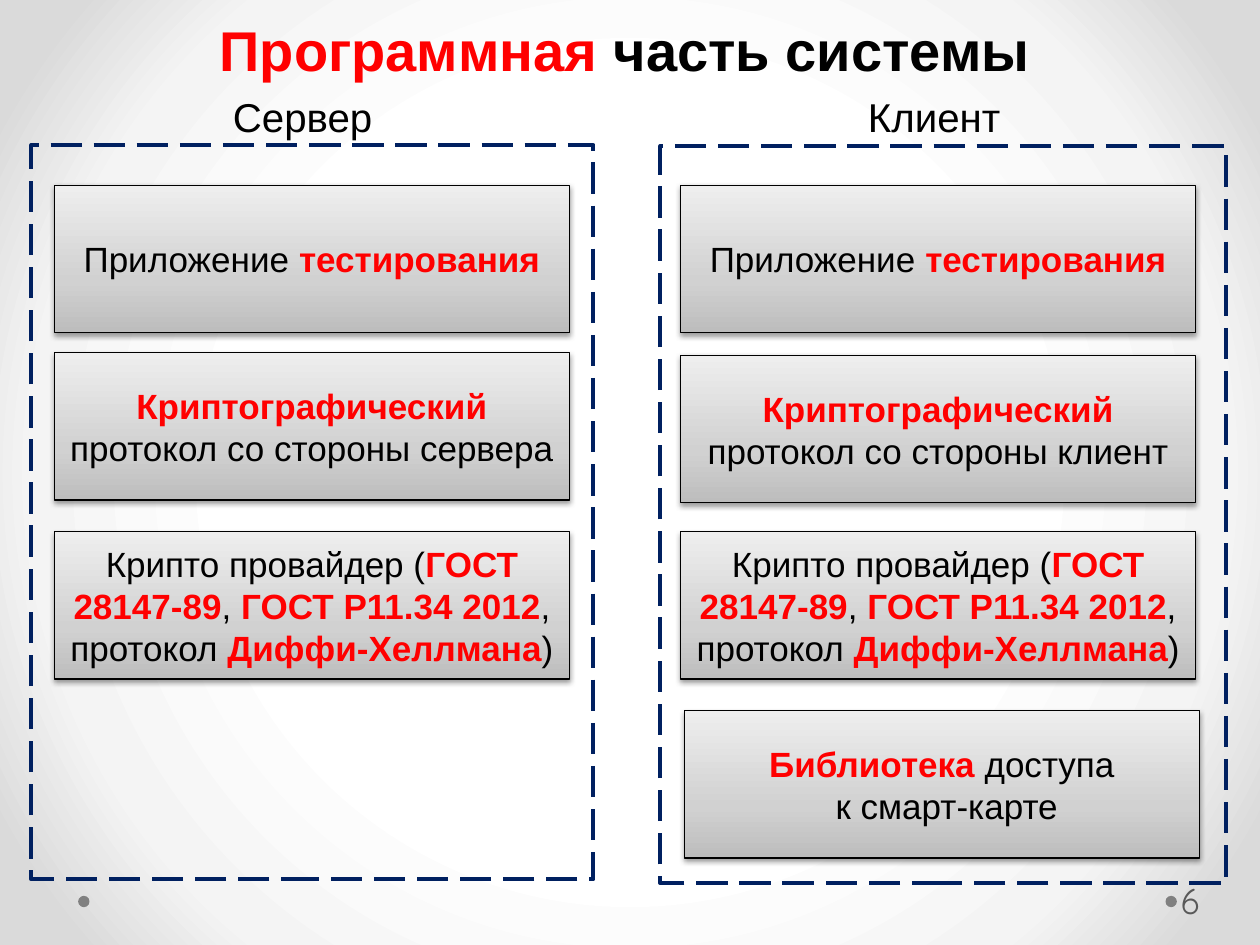
import pptx
import pptx.dml.color
import pptx.enum.dml
import pptx.enum.shapes
import pptx.enum.text
import pptx.oxml
import pptx.oxml.ns
import pptx.util

ALIGN = pptx.enum.text.PP_ALIGN
ANCHOR = pptx.enum.text.MSO_ANCHOR
SHAPE = pptx.enum.shapes.MSO_SHAPE
COLUMNS, ROWS = 100, 75
BOX_WIDTH, BOX_HEIGHT = 40.9, 11.7

TESTING = ["Приложение *тестирования*"]
PROVIDER = ["Крипто провайдер (*ГОСТ 28147-89*, *ГОСТ Р11.34 2012*, протокол *Диффи-Хеллмана*)"]
SERVER_BOXES = [
    (4.3, 14.7, TESTING),
    (4.3, 28, ["*Криптографический* протокол со стороны сервера"]),
    (4.3, 42.2, PROVIDER),
]
CLIENT_BOXES = [
    (54, 14.7, TESTING),
    (54, 28.2, ["*Криптографический* протокол со стороны клиент"]),
    (54, 42.2, PROVIDER),
    (54.3, 56.4, ["*Библиотека *доступа", " к смарт-карте"]),
]


def color(value):
    return pptx.dml.color.RGBColor.from_string(value)


def apply(target, values):
    for name, value in values.items():
        setattr(target, name, value)


def paint_gradient(fill, element, stops, direction):
    """Fill with (percent, colour) stops; direction is the XML of the gradient's course."""
    fill.gradient()
    old = next(element.iter(pptx.oxml.ns.qn("a:gradFill")))
    listed = "".join(
        f'<a:gs pos="{percent * 1000}"><a:srgbClr val="{value}"/></a:gs>'
        for percent, value in stops
    )
    new = pptx.oxml.parse_xml(
        f'<a:gradFill {pptx.oxml.ns.nsdecls("a")} rotWithShape="1">'
        f"<a:gsLst>{listed}</a:gsLst>{direction}</a:gradFill>"
    )
    old.getparent().replace(old, new)


class Slide:
    """Style and current page; lengths are columns and rows of a 100 by 75 grid."""

    ink, accent, border = "000000", "FF0000", "002060"
    box_stops = [(0, "BDBDBD"), (35, "D1D1D1"), (100, "EEEEEE")]
    page_stops = [(50, "FFFFFF"), (76, "F4F4F4"), (92, "DADADA")]

    def __init__(self, deck):
        self.column = deck.slide_width / COLUMNS
        self.row = deck.slide_height / ROWS
        self.page = deck.slides.add_slide(deck.slide_layouts[5])
        paint_gradient(
            self.page.background.fill, self.page.element, self.page_stops,
            '<a:path path="circle"><a:fillToRect l="50000" t="50000" r="50000" b="50000"/></a:path>',
        )

    def place(self, left, top, width, height):
        return (round(left * self.column), round(top * self.row),
                round(width * self.column), round(height * self.row))

    def set_text(self, frame, lines, size, align=ALIGN.LEFT, anchor=ANCHOR.TOP,
                 bold=False, font="Arial", ink=None):
        """Fill in paragraphs; text between asterisks is bold and in the accent colour."""
        apply(frame, {"word_wrap": True, "vertical_anchor": anchor,
                      "auto_size": pptx.enum.text.MSO_AUTO_SIZE.NONE})
        for index, line in enumerate(lines):
            para = frame.add_paragraph() if index else frame.paragraphs[0]
            para.alignment = align
            for part, text in enumerate(line.split("*")):
                if not text:
                    continue
                marked = part % 2 == 1
                span = para.add_run()
                span.text = text
                apply(span.font, {"name": font, "size": pptx.util.Pt(size),
                                  "bold": bold or marked})
                span.font.color.rgb = color(self.accent if marked else ink or self.ink)

    def title(self, text, *area):
        title = self.page.shapes.title
        apply(title, dict(zip(("left", "top", "width", "height"), self.place(*area))))
        self.set_text(title.text_frame, [text], 32, ALIGN.CENTER, bold=True)

    def label(self, text, *area, size=23, **style):
        box = self.page.shapes.add_textbox(*self.place(*area))
        self.set_text(box.text_frame, [text], size, **style)
        return box

    def shape(self, kind, *area):
        shape = self.page.shapes.add_shape(kind, *self.place(*area))
        shape.shadow.inherit = False
        return shape

    def dot(self, left, top):
        dot = self.shape(SHAPE.OVAL, left, top, 0.9, 0.9)
        dot.fill.solid()
        dot.fill.fore_color.rgb = color("808080")
        dot.line.fill.background()

    def outline(self, shape, value, width):
        shape.line.color.rgb = color(value)
        shape.line.width = pptx.util.Pt(width)

    def frame(self, *area):
        frame = self.shape(SHAPE.RECTANGLE, *area)
        frame.fill.background()
        self.outline(frame, self.border, 2.25)
        frame.line.dash_style = pptx.enum.dml.MSO_LINE.LONG_DASH

    def box(self, left, top, lines):
        box = self.shape(SHAPE.RECTANGLE, left, top, BOX_WIDTH, BOX_HEIGHT)
        paint_gradient(box.fill, box.element, self.box_stops,
                       '<a:lin ang="16200000" scaled="0"/>')
        self.outline(box, self.ink, 0.75)
        effects = next(box.element.iter(pptx.oxml.ns.qn("a:effectLst")))
        effects.append(pptx.oxml.parse_xml(
            f'<a:outerShdw {pptx.oxml.ns.nsdecls("a")} blurRad="{pptx.util.Pt(3.1)}"'
            f' dist="{pptx.util.Pt(1.6)}" dir="5400000" rotWithShape="0">'
            f'<a:srgbClr val="{self.ink}"><a:alpha val="38000"/></a:srgbClr></a:outerShdw>'
        ))
        self.set_text(box.text_frame, lines, 20, ALIGN.CENTER, ANCHOR.MIDDLE)


def main():
    deck = pptx.Presentation()
    deck.slide_width = pptx.util.Inches(10)
    deck.slide_height = pptx.util.Inches(7.5)
    slide = Slide(deck)

    for left in (6.2, 92.5):
        slide.dot(left, 71.1)
    number = slide.label("6", 93.4, 69.5, 6.1, 4, size=20, font="Quicksand",
                         ink="595959", anchor=ANCHOR.MIDDLE)
    apply(number.text_frame, {"margin_left": pptx.util.Inches(0.03),
                              "margin_right": pptx.util.Inches(0.05)})

    slide.title("*Программная *часть системы", 12.2, 0.7, 74.8, 6.4)
    slide.frame(2.5, 11.5, 44.6, 58.3)
    slide.frame(52.4, 11.6, 44.9, 58.5)
    slide.label("Сервер", 17.5, 6.8, 14.6, 4.9)
    slide.label("Клиент", 67.9, 6.8, 14.6, 4.9)
    for left, top, lines in SERVER_BOXES + CLIENT_BOXES:
        slide.box(left, top, lines)

    deck.save("out.pptx")


if __name__ == "__main__":
    main()
